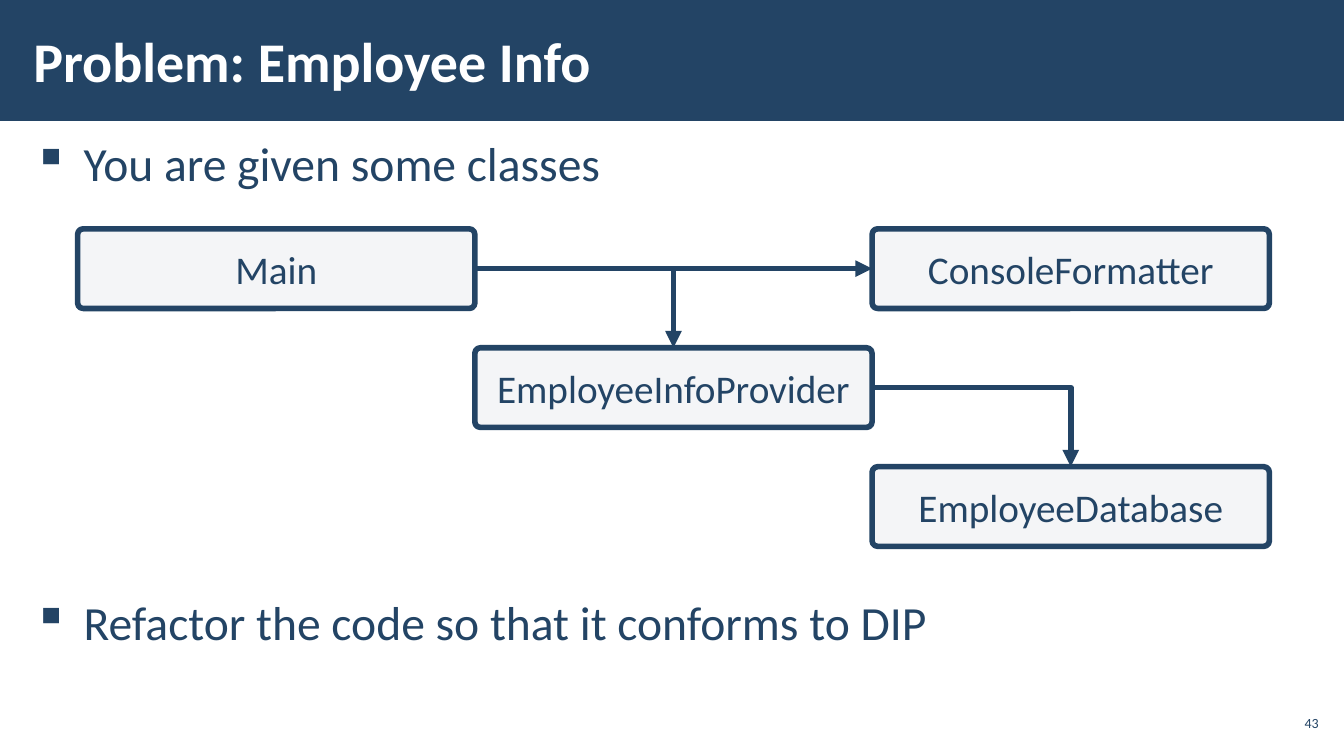
from lxml import etree
from pptx import Presentation
from pptx.dml.color import RGBColor
from pptx.enum.shapes import MSO_CONNECTOR, MSO_SHAPE
from pptx.enum.text import MSO_ANCHOR, PP_ALIGN
from pptx.oxml.ns import qn
from pptx.util import Inches, Pt

RECT, ROUND_RECT = MSO_SHAPE.RECTANGLE, MSO_SHAPE.ROUNDED_RECTANGLE
STRAIGHT, ELBOW = MSO_CONNECTOR.STRAIGHT, MSO_CONNECTOR.ELBOW
TOP, MIDDLE = MSO_ANCHOR.TOP, MSO_ANCHOR.MIDDLE
LEFT, CENTER, RIGHT = PP_ALIGN.LEFT, PP_ALIGN.CENTER, PP_ALIGN.RIGHT

FONT = "Calibri"
COLORS = {"navy": "234465", "pale": "F4F5F7", "white": "FFFFFF"}

# Class diagram grid
GRID_LEFT, GRID_TOP = 0.77, 2.27
BOX_WIDTH, BOX_HEIGHT = 3.94, 0.79
ROW_STEP = 1.18
LINE_WIDTH = Pt(4)
TOP_SITE, LEFT_SITE, RIGHT_SITE = 0, 1, 3

CLASSES = {  # name: (column, row)
    "Main": (0, 0),
    "EmployeeDatabase": (2, 2),
    "EmployeeInfoProvider": (1, 1),
    "ConsoleFormatter": (2, 0),
}
ARROWS = [  # from, to, kind, end site
    ("Main", "EmployeeInfoProvider", ELBOW, TOP_SITE),
    ("Main", "ConsoleFormatter", STRAIGHT, LEFT_SITE),
    ("EmployeeInfoProvider", "EmployeeDatabase", ELBOW, TOP_SITE),
]
BULLETS = [  # text, space before
    ("You are given some classes", Pt(0)),
    ("Refactor the code so that it conforms to DIP", Pt(279)),
]


def color(name):
    return RGBColor.from_string(COLORS[name])


def style(paragraph, size, color_name, align=LEFT, bold=False):
    paragraph.alignment = align
    font = paragraph.font
    font.name, font.size, font.bold = FONT, Pt(size), bold
    font.color.rgb = color(color_name)


def add_text_box(page, left, top, width, height, side_inset, anchor):
    box = page.shapes.add_textbox(Inches(left), Inches(top), Inches(width), Inches(height))
    frame = box.text_frame
    frame.word_wrap = True
    frame.vertical_anchor = anchor
    frame.margin_left = frame.margin_right = Inches(side_inset)
    frame.margin_top = frame.margin_bottom = Inches(0.04)
    return frame


def add_panel(page, kind, left, top, width, height, fill):
    panel = page.shapes.add_shape(
        kind, Inches(left), Inches(top), Inches(width), Inches(height))
    panel.shadow.inherit = False
    panel.fill.solid()
    panel.fill.fore_color.rgb = color(fill)
    panel.line.fill.background()
    return panel


def add_class_box(page, name, column, row):
    box = add_panel(page, ROUND_RECT, GRID_LEFT + column * BOX_WIDTH,
                    GRID_TOP + row * ROW_STEP, BOX_WIDTH, BOX_HEIGHT, "pale")
    box.adjustments[0] = 0.07
    box.line.color.rgb = color("navy")
    box.line.width = LINE_WIDTH
    frame = box.text_frame
    frame.vertical_anchor = MIDDLE
    frame.text = name
    style(frame.paragraphs[0], 28, "navy", CENTER)
    return box


def add_arrow(page, start, end, kind, end_site):
    arrow = page.shapes.add_connector(kind, 0, 0, 0, 0)
    arrow.begin_connect(start, RIGHT_SITE)
    arrow.end_connect(end, end_site)
    arrow.line.color.rgb = color("navy")
    arrow.line.width = LINE_WIDTH
    properties = arrow._element.spPr
    if kind == ELBOW:  # one bend only
        properties.find(qn("a:prstGeom")).set("prst", "bentConnector2")
    etree.SubElement(properties.find(qn("a:ln")), qn("a:tailEnd"), type="triangle")
    etree.SubElement(properties, qn("a:effectLst"))


def add_bullets(frame, bullets):
    for index, (text, space_before) in enumerate(bullets):
        para = frame.add_paragraph() if index else frame.paragraphs[0]
        para.text = text
        para.line_spacing = 1.05
        para.space_before = space_before
        para.space_after = Pt(6)
        settings = para._p.get_or_add_pPr()
        settings.set("marL", str(Inches(0.5)))
        settings.set("indent", str(-Inches(0.5)))
        etree.SubElement(settings, qn("a:buChar"), char="▪")
        style(para, 34, "navy")


def main():
    deck = Presentation()
    deck.slide_width, deck.slide_height = Inches(13.33), Inches(7.5)
    page = deck.slides.add_slide(deck.slide_layouts[6])

    # Header band and page number
    add_panel(page, RECT, 0, 0, 13.33, 1.2, "navy")
    number = add_text_box(page, 12.65, 7, 0.47, 0.34, 0.04, MIDDLE)
    number.text = "43"
    style(number.paragraphs[0], 10, "navy", RIGHT)

    # Bullets and title
    add_bullets(add_text_box(page, 0.21, 1.26, 12.91, 6.09, 0.12, TOP), BULLETS)
    title = add_text_box(page, 0.21, 0.11, 10.39, 0.97, 0.12, MIDDLE)
    title.text = "Problem: Employee Info"
    style(title.paragraphs[0], 40, "white", bold=True)

    # Class diagram
    boxes = {name: add_class_box(page, name, *cell) for name, cell in CLASSES.items()}
    for start, end, kind, end_site in ARROWS:
        add_arrow(page, boxes[start], boxes[end], kind, end_site)

    deck.save("out.pptx")


if __name__ == "__main__":
    main()
